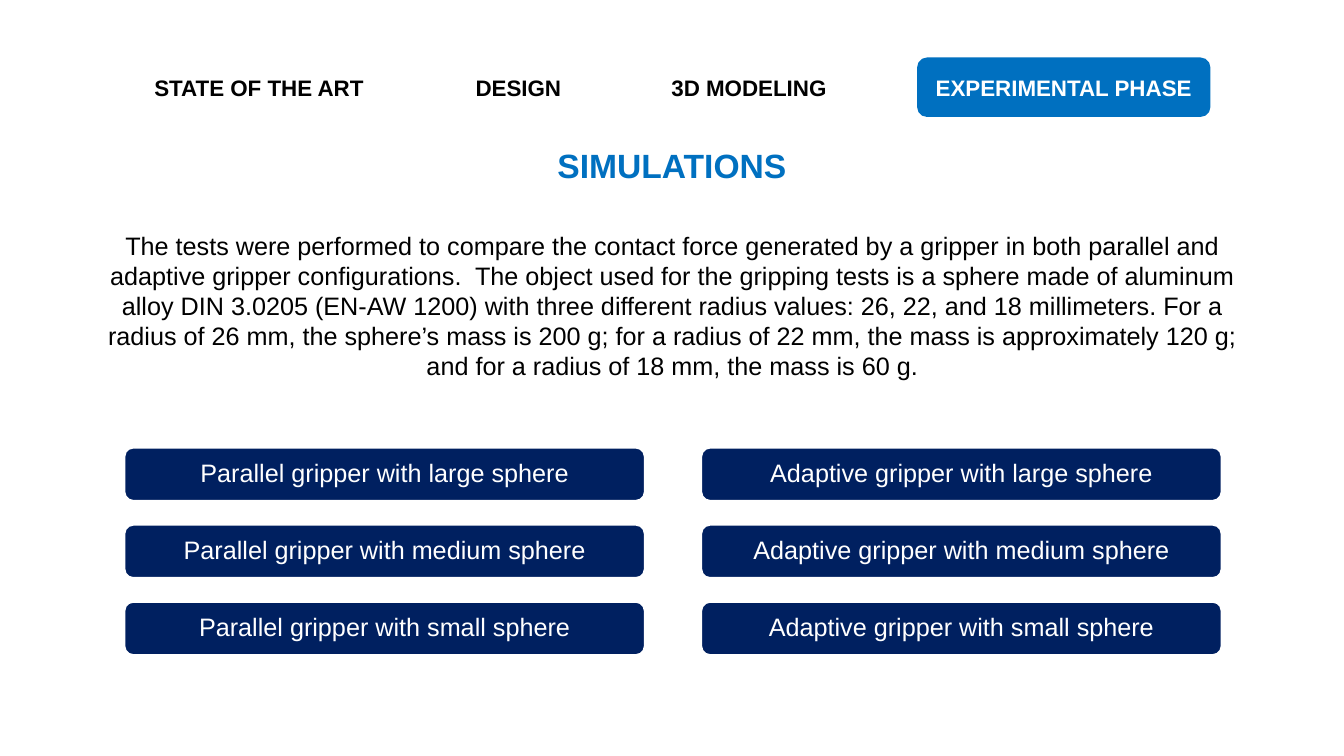
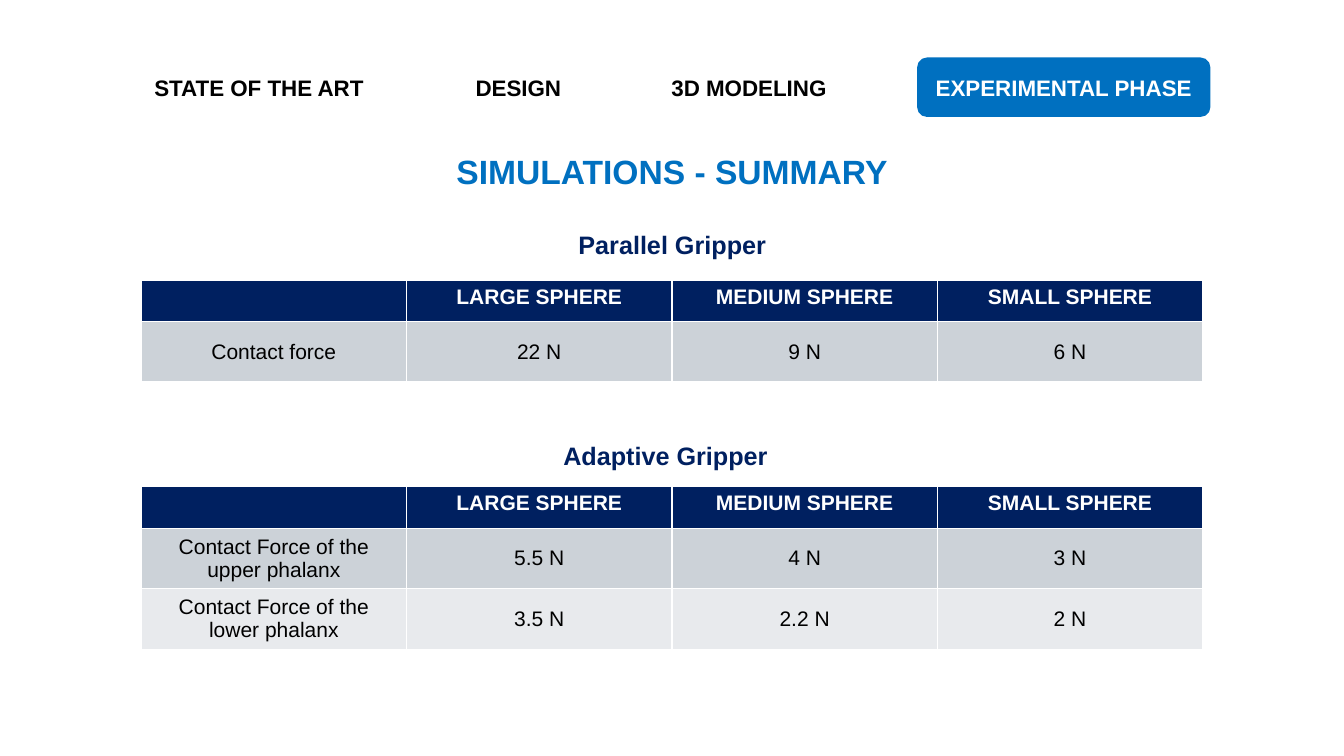
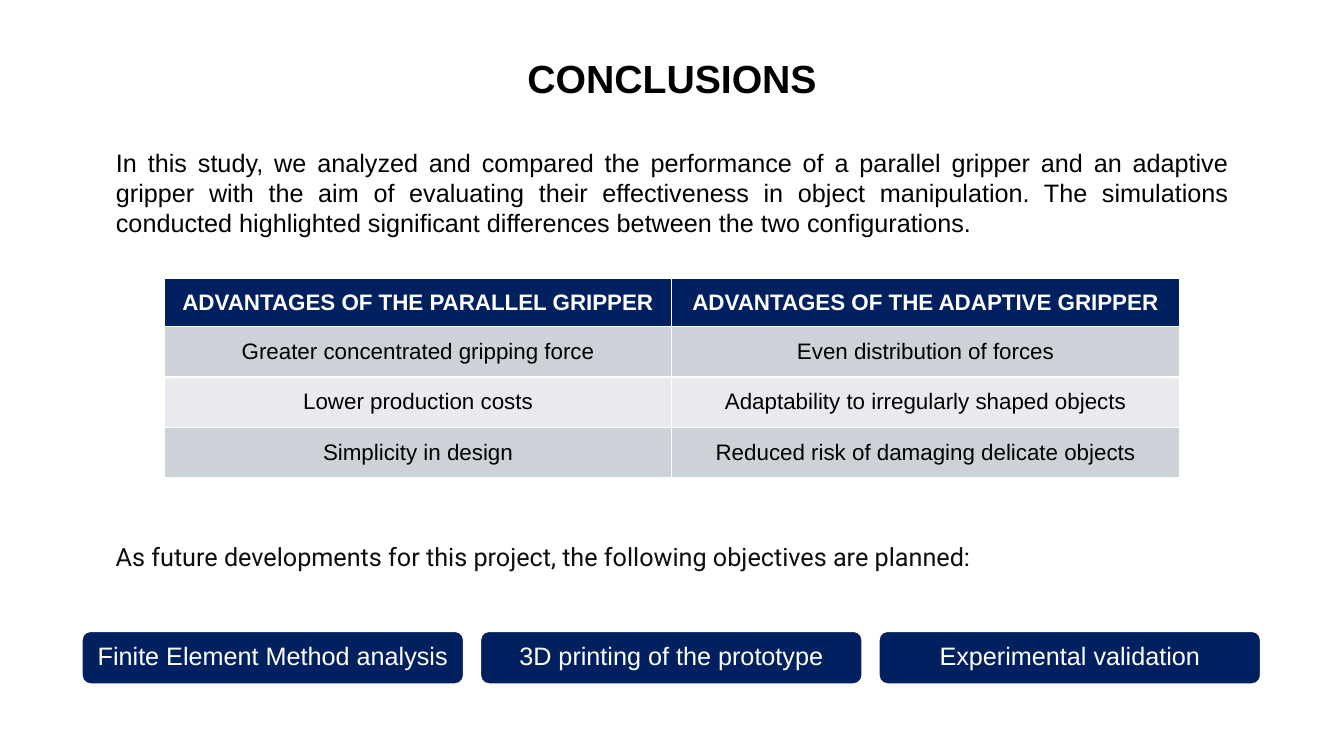
from dataclasses import dataclass

from lxml import etree
from pptx import Presentation
from pptx import util as u
from pptx.dml import color
from pptx.enum import shapes, text
from pptx.oxml import ns

COLS, ROWS = 160, 90  # slide grid of square cells
CELL = 1 / 12  # inches

LEFT, MID, JUST = (text.PP_ALIGN.LEFT, text.PP_ALIGN.CENTER,
                   text.PP_ALIGN.JUSTIFY)
TOP, HALF = text.MSO_ANCHOR.TOP, text.MSO_ANCHOR.MIDDLE


@dataclass(frozen=True)
class Theme:
    navy: str = "002060"
    blue: str = "0070C0"
    black: str = "000000"
    ink: str = "0E0E0E"
    white: str = "FFFFFF"
    bands: tuple = ("CCD2D8", "E8EAED")
    font: str = "Arial"
    alt: str = "Roboto"
    main: int = 28
    head: int = 24
    text: int = 18
    tab: int = 16
    cell: int = 15


T = Theme()


@dataclass(frozen=True)
class Box:
    """A region, in cells of the slide grid."""
    x: float
    y: float
    w: float
    h: float

    def place(self):
        return [u.Inches(v * CELL) for v in (self.x, self.y, self.w, self.h)]

    def split(self, cols, rows, gap_x=0, gap_y=0):
        """Equal boxes, row by row."""
        w = (self.w - gap_x * (cols - 1)) / cols
        h = (self.h - gap_y * (rows - 1)) / rows
        return [Box(self.x + c * (w + gap_x), self.y + r * (h + gap_y), w, h)
                for r in range(rows) for c in range(cols)]

    def widen(self, pad):
        return Box(self.x - pad, self.y, self.w + 2 * pad, self.h)


def rgb(code):
    return color.RGBColor.from_string(code)


# Text
def write(frame, words, size=T.text, ink=T.black, bold=False, align=MID,
          font=T.font, anchor=TOP, line=1.0, inset=None):
    frame.word_wrap = True
    frame.auto_size = text.MSO_AUTO_SIZE.NONE
    frame.vertical_anchor = anchor
    if inset is not None:
        frame.margin_left = frame.margin_right = u.Inches(inset)
        frame.margin_top = frame.margin_bottom = u.Inches(inset)
    para = frame.paragraphs[0]
    style(para, align, line)
    run = para.add_run()
    run.text = words
    run.font.size, run.font.bold, run.font.name = u.Pt(size), bold, font
    run.font.color.rgb = rgb(ink)


def style(para, align, line=1.0):
    para.alignment, para.line_spacing = align, line
    para.space_before = para.space_after = u.Pt(0)


def label(slide, box, words, **form):
    write(slide.shapes.add_textbox(*box.place()).text_frame, words, **form)


def fill_slot(slot, box, words, **form):
    """Move a placeholder and write plain text without a bullet in it."""
    slot.left, slot.top, slot.width, slot.height = box.place()
    props = slot.text_frame.paragraphs[0]._p.get_or_add_pPr()
    props.set("marL", "0")
    props.set("indent", "0")
    etree.SubElement(props, ns.qn("a:buNone"))
    write(slot.text_frame, words, **form)


# Parts
def pill(slide, box, words, fill, edge=None, **form):
    shape = slide.shapes.add_shape(shapes.MSO_SHAPE.ROUNDED_RECTANGLE,
                                   *box.place())
    shape.shadow.inherit = False
    shape.fill.solid()
    shape.fill.fore_color.rgb = rgb(fill)
    if edge:
        shape.line.color.rgb = rgb(edge)
        shape.line.width = u.Pt(1.5)
    else:
        shape.line.fill.background()
    write(shape.text_frame, words, ink=T.white, anchor=HALF, **form)


def tab_bar(slide, box, active):
    tabs = (("STATE OF THE ART", 28.08), ("DESIGN", 13.08),
            ("3D MODELING", 21.24), ("EXPERIMENTAL PHASE", 33.12))
    gap = (box.w - sum(wide for _, wide in tabs)) / (len(tabs) - 1)
    x = box.x
    for name, wide in tabs:
        part = Box(x, box.y, wide, box.h)
        form = dict(size=T.tab, bold=True, inset=0)
        if name == active:
            pill(slide, part.widen(0.9), name, T.blue, **form)
        else:
            label(slide, part, name, anchor=HALF, **form)
        x += wide + gap


def buttons(slide, box, rows, gap_x, gap_y=0):
    spots = box.split(len(rows[0]), len(rows), gap_x, gap_y)
    for spot, name in zip(spots, (name for row in rows for name in row)):
        pill(slide, spot, name, T.navy, T.white, line=0.9, inset=0.07)


def grid(slide, box, rows, first, size=T.cell, anchor=TOP):
    """Table with a navy first row of the given height and grey bands."""
    table = slide.shapes.add_table(len(rows), len(rows[0]),
                                   *box.place()).table
    rest = (box.h - first) / (len(rows) - 1)
    for r, row in enumerate(rows):
        head = r == 0
        table.rows[r].height = u.Inches((first if head else rest) * CELL)
        for c, words in enumerate(row):
            cell = table.cell(r, c)
            cell.fill.solid()
            cell.fill.fore_color.rgb = rgb(T.navy if head
                                           else T.bands[(r - 1) % 2])
            cell.vertical_anchor = anchor if head else HALF
            if words:
                para = cell.text_frame.paragraphs[0]
                style(para, MID)
                run = para.add_run()
                run.text = words
                run.font.size, run.font.name = u.Pt(size), T.font
                run.font.bold = head
                run.font.color.rgb = rgb(T.white if head else T.black)


# Slides
def start(deck, layout, title, y, size=T.head, ink=T.blue):
    slide = deck.slides.add_slide(deck.slide_layouts[layout])
    fill_slot(slide.shapes.title, Box(34, y, COLS - 68, 6.84), title,
              size=size, ink=ink, bold=True)
    return slide


def phase(deck, layout, title, y):
    slide = start(deck, layout, title, y)
    tab_bar(slide, Box(16.8, 6.84, 126.4, 7.08), "EXPERIMENTAL PHASE")
    return slide


def tests(deck):
    slide = phase(deck, 1, "SIMULATIONS", 16.68)
    fill_slot(
        slide.placeholders[1], Box(11.52, 26.76, 137.04, 19.44),
        "The tests were performed to compare the contact force generated by "
        "a gripper in both parallel and adaptive gripper configurations.  "
        "The object used for the gripping tests is a sphere made of aluminum "
        "alloy DIN 3.0205 (EN-AW 1200) with three different radius values: "
        "26, 22, and 18 millimeters. For a radius of 26 mm, the sphere’s "
        "mass is 200 g; for a radius of 22 mm, the mass is approximately "
        "120 g; and for a radius of 18 mm, the mass is 60 g.")
    rows = [[f"{kind} gripper with {size} sphere"
             for kind in ("Parallel", "Adaptive")]
            for size in ("large", "medium", "small")]
    buttons(slide, Box(14.8, 53.28, 130.64, 24.72), rows, 6.7, 2.82)


def results(deck):
    slide = phase(deck, 5, "SIMULATIONS - SUMMARY", 17.4)
    heads = ("", "LARGE SPHERE", "MEDIUM SPHERE", "SMALL SPHERE")
    first, row = 4.92, 7.2
    parts = (
        ("Parallel Gripper", 67.68, 26.76, 33.36,
         [("Contact force", "22 N", "9 N", "6 N")]),
        ("Adaptive Gripper", 65.88, 51.84, 57.96,
         [("Contact Force of the upper phalanx", "5.5 N", "4 N", "3 N"),
          ("Contact Force of the lower phalanx", "3.5 N", "2.2 N", "2 N")]))
    for name, x, y, top, data in parts:
        label(slide, Box(x, y, 30, 4.8), name, ink=T.navy, bold=True,
              align=LEFT)
        grid(slide, Box(16.8, top, 126.4, first + row * len(data)),
             [heads, *data], first)


def closing(deck):
    slide = start(deck, 1, "CONCLUSIONS", 5.88, T.main, T.black)
    fill_slot(
        slide.placeholders[1], Box(12.6, 16.92, 134.88, 12.12),
        "In this study, we analyzed and compared the performance of a "
        "parallel gripper and an adaptive gripper with the aim of evaluating "
        "their effectiveness in object manipulation. The simulations "
        "conducted highlighted significant differences between the two "
        "configurations.", align=JUST)
    rows = [("ADVANTAGES OF THE PARALLEL GRIPPER",
             "ADVANTAGES OF THE ADAPTIVE GRIPPER"),
            ("Greater concentrated gripping force",
             "Even distribution of forces"),
            ("Lower production costs",
             "Adaptability to irregularly shaped objects"),
            ("Simplicity in design",
             "Reduced risk of damaging delicate objects")]
    grid(slide, Box(19.56, 33.12, 120.84, 23.76), rows, 5.76, T.tab, HALF)
    label(slide, Box(12.6, 63.84, 134.88, 4.8),
          "As future developments for this project, the following objectives "
          "are planned:", ink=T.ink, font=T.alt, align=JUST)
    buttons(slide, Box(9.72, 75.12, 140.4, 6.36),
            [("Finite Element Method analysis", "3D printing of the prototype",
              "Experimental validation")], 1.92)


def main():
    deck = Presentation()
    deck.slide_width = u.Inches(COLS * CELL)
    deck.slide_height = u.Inches(ROWS * CELL)
    for build in (tests, results, closing):
        build(deck)
    deck.save("out.pptx")


if __name__ == "__main__":
    main()
